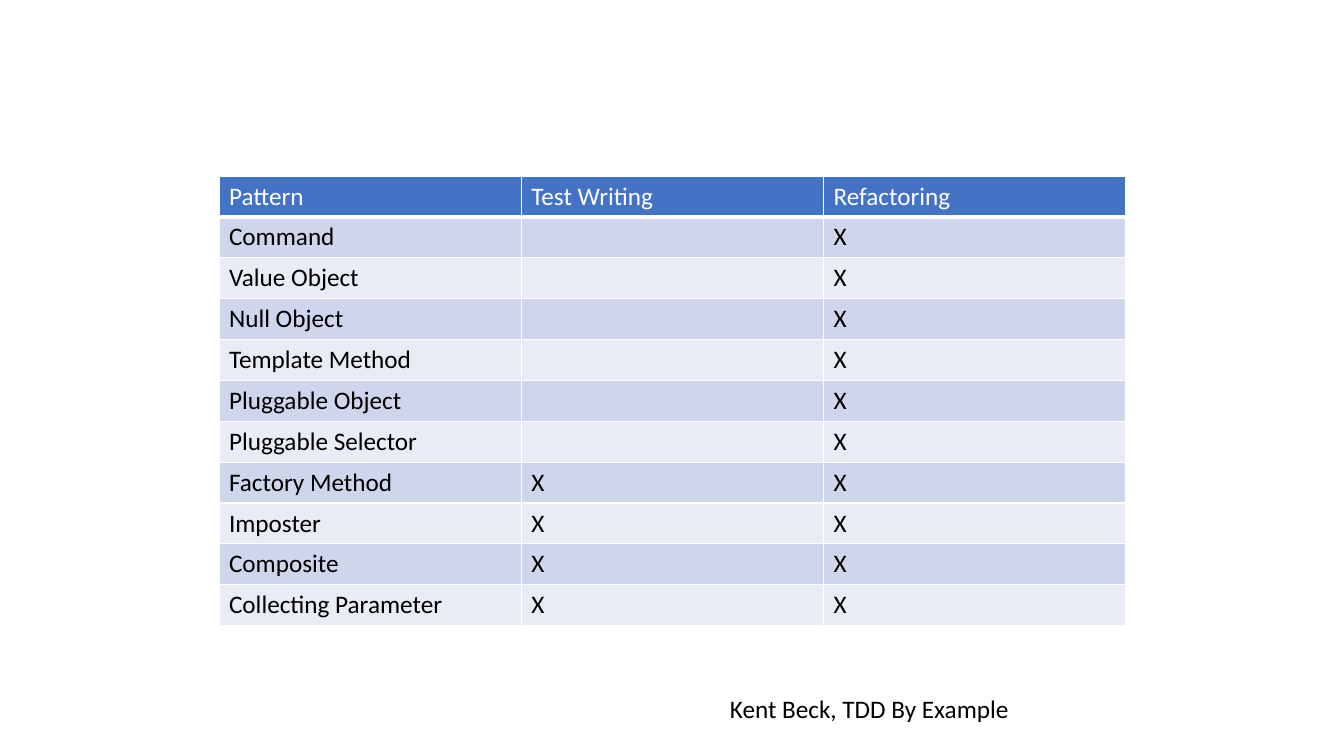
from pptx import Presentation
from pptx.dml.color import RGBColor
from pptx.oxml.ns import qn
from pptx.util import Emu, Pt
from lxml.etree import SubElement

# Content
HEADER = ("Pattern", "Test Writing", "Refactoring")
PATTERNS = [
    ("Command", "", "X"),
    ("Value Object", "", "X"),
    ("Null Object", "", "X"),
    ("Template Method", "", "X"),
    ("Pluggable Object", "", "X"),
    ("Pluggable Selector", "", "X"),
    ("Factory Method", "X", "X"),
    ("Imposter", "X", "X"),
    ("Composite", "X", "X"),
    ("Collecting Parameter", "X", "X"),
]
SOURCE = "Kent Beck, TDD By Example"

# Theme and layout, lengths in pixels
THEME = {
    "font": {"name": "Calibri", "size": Pt(18), "bold": False},
    "header": "4472C4", "bands": ("CFD5EA", "E9EBF5"),
    "border": "FFFFFF", "header_text": "FFFFFF", "text": "000000",
    "line": 1, "header_line": 3,
}
SLIDE = (1344, 756)
TABLE_BOX = (219, 176, 907, 450)
SOURCE_BOX = (720, 688, 349, 40)


def px(n):
    return Emu(round(n * 914400 / 100.8))


def write(tf, text, color):
    p = tf.paragraphs[0]
    if not text:
        p.font.size = THEME["font"]["size"]
        return
    r = p.add_run()
    r.text = text
    for key, value in THEME["font"].items():
        setattr(r.font, key, value)
    r.font.color.rgb = RGBColor.from_string(color)


def add_borders(cell, bottom):
    tcPr = cell._tc.get_or_add_tcPr()
    for side in "LRTB":
        width = bottom if side == "B" else THEME["line"]
        ln = SubElement(tcPr, qn(f"a:ln{side}"), w=str(Pt(width)))
        fill = SubElement(ln, qn("a:solidFill"))
        SubElement(fill, qn("a:srgbClr"), val=THEME["border"])


prs = Presentation()
prs.slide_width, prs.slide_height = map(px, SLIDE)
s = prs.slides.add_slide(prs.slide_layouts[6])

# Pattern table
rows = [HEADER, *PATTERNS]
table = s.shapes.add_table(len(rows), len(HEADER), *map(px, TABLE_BOX)).table
for col in table.columns:
    col.width = px(TABLE_BOX[2] / len(HEADER))
for i, values in enumerate(rows):
    table.rows[i].height = px(TABLE_BOX[3] / len(rows))
    is_header = i == 0
    fill = THEME["header"] if is_header else THEME["bands"][(i - 1) % 2]
    color = THEME["header_text" if is_header else "text"]
    for cell, text in zip(table.rows[i].cells, values):
        add_borders(cell, THEME["header_line" if is_header else "line"])
        cell.fill.solid()
        cell.fill.fore_color.rgb = RGBColor.from_string(fill)
        write(cell.text_frame, text, color)

# Source line
tf = s.shapes.add_textbox(*map(px, SOURCE_BOX)).text_frame
tf.word_wrap = True
write(tf, SOURCE, THEME["text"])

prs.save("out.pptx")
